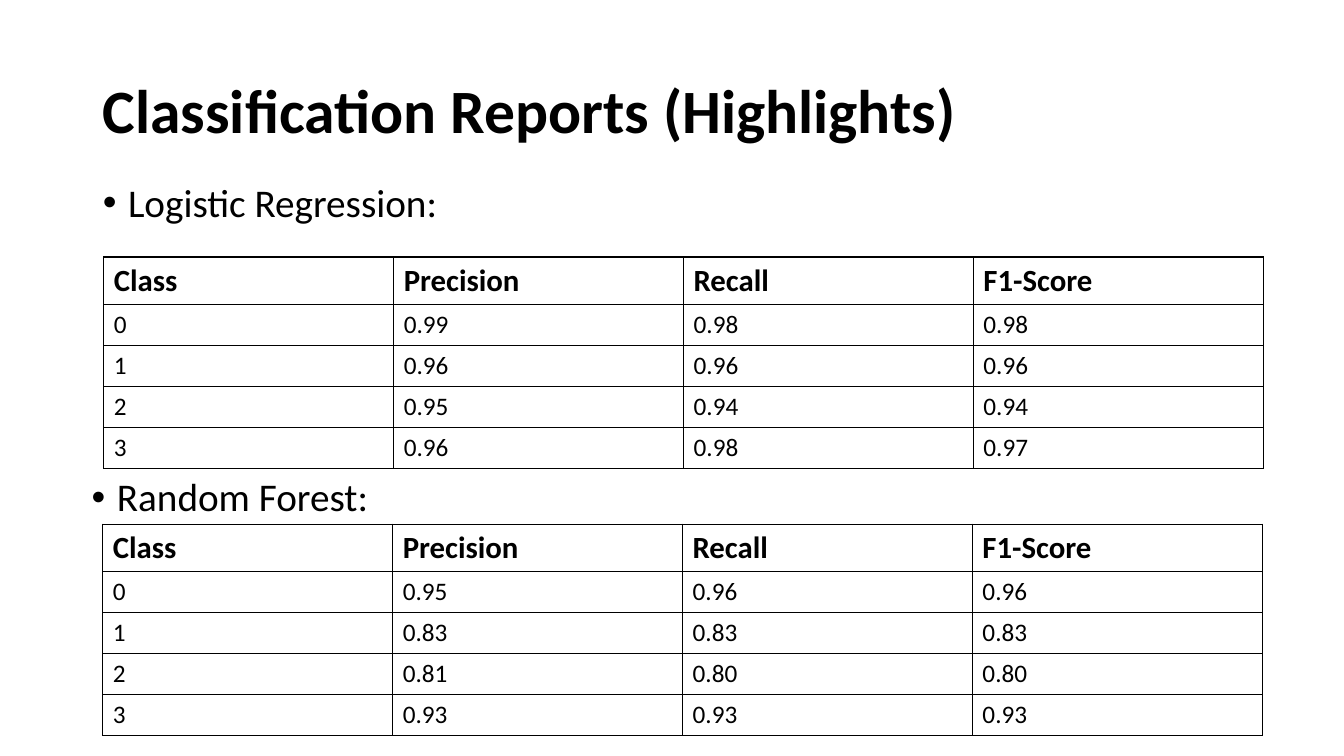
"""Build a slide with two classification report tables."""
import pptx
import pptx.dml.color
import pptx.enum.text
import pptx.oxml.ns
import pptx.util
from lxml import etree

Inches = pptx.util.Inches
Pt = pptx.util.Pt
BLACK = pptx.dml.color.RGBColor(0, 0, 0)
HEADER = ("Class", "Precision", "Recall", "F1-Score")
LOGISTIC_ROWS = (
    ("0", "0.99", "0.98", "0.98"),
    ("1", "0.96", "0.96", "0.96"),
    ("2", "0.95", "0.94", "0.94"),
    ("3", "0.96", "0.98", "0.97"),
)
FOREST_ROWS = (
    ("0", "0.95", "0.96", "0.96"),
    ("1", "0.83", "0.83", "0.83"),
    ("2", "0.81", "0.80", "0.80"),
    ("3", "0.93", "0.93", "0.93"),
)


def write_text(frame, text, size, bold=False, spacing=1.0, before=0):
    para = frame.paragraphs[0]
    para.alignment = pptx.enum.text.PP_ALIGN.LEFT
    para.line_spacing = spacing
    para.space_before = Pt(before)
    span = para.add_run()
    span.text = text
    span.font.name = "Calibri"
    span.font.size = Pt(size)
    span.font.bold = bold
    span.font.color.rgb = BLACK
    return para


def add_node(parent, tag, **attributes):
    return etree.SubElement(parent, pptx.oxml.ns.qn(tag), **attributes)


class ReportPage:
    def __init__(self, deck):
        self.page = deck.slides.add_slide(deck.slide_layouts[3])

    def place(self, index, left, top, width, height, anchor):
        box = self.page.placeholders[index]
        box.left, box.top = Inches(left), Inches(top)
        box.width, box.height = Inches(width), Inches(height)
        frame = box.text_frame
        frame.word_wrap = True
        frame.auto_size = pptx.enum.text.MSO_AUTO_SIZE.NONE
        frame.vertical_anchor = anchor
        return frame

    def title(self, text):
        frame = self.place(0, 0.92, 0.4, 11.5, 1.45, pptx.enum.text.MSO_ANCHOR.MIDDLE)
        write_text(frame, text, 44, bold=True, spacing=0.9)

    def bullet(self, index, text, left, top, width, height):
        frame = self.place(index, left, top, width, height, pptx.enum.text.MSO_ANCHOR.TOP)
        para = write_text(frame, text, 28, spacing=0.9, before=10)
        properties = para._p.get_or_add_pPr()
        properties.set("marL", str(Inches(0.25)))
        properties.set("indent", str(Inches(-0.25)))
        add_node(properties, "a:buFont", typeface="Arial")
        add_node(properties, "a:buChar", char="•")

    def table(self, rows, left, top):
        lines = (HEADER, *rows)
        grid = self.page.shapes.add_table(
            len(lines), len(HEADER), Inches(left), Inches(top), Inches(11.5), Inches(2.07)
        ).table
        for row_index, values in enumerate(lines):
            is_header = row_index == 0
            grid.rows[row_index].height = Inches(0.47 if is_header else 0.4)
            for column_index, value in enumerate(values):
                cell = grid.cell(row_index, column_index)
                cell.vertical_anchor = pptx.enum.text.MSO_ANCHOR.MIDDLE
                write_text(cell.text_frame, value, 22 if is_header else 18, bold=is_header)
                self.border(cell)
                cell.fill.background()

    def border(self, cell):
        properties = cell._tc.get_or_add_tcPr()
        for side in ("L", "R", "T", "B"):
            line = add_node(properties, f"a:ln{side}", w=str(Pt(1)))
            fill = add_node(line, "a:solidFill")
            add_node(fill, "a:srgbClr", val=str(BLACK))


def main():
    deck = pptx.Presentation()
    deck.slide_width, deck.slide_height = Inches(13.33), Inches(7.5)
    report = ReportPage(deck)
    report.title("Classification Reports (Highlights)")
    report.bullet(1, "Logistic Regression:", 0.92, 1.77, 11.73, 2.95)
    report.bullet(2, "Random Forest:", 0.81, 4.69, 11.6, 2.07)
    report.table(LOGISTIC_ROWS, 1.03, 2.55)
    report.table(FOREST_ROWS, 1.02, 5.2)
    deck.save("out.pptx")


if __name__ == "__main__":
    main()
